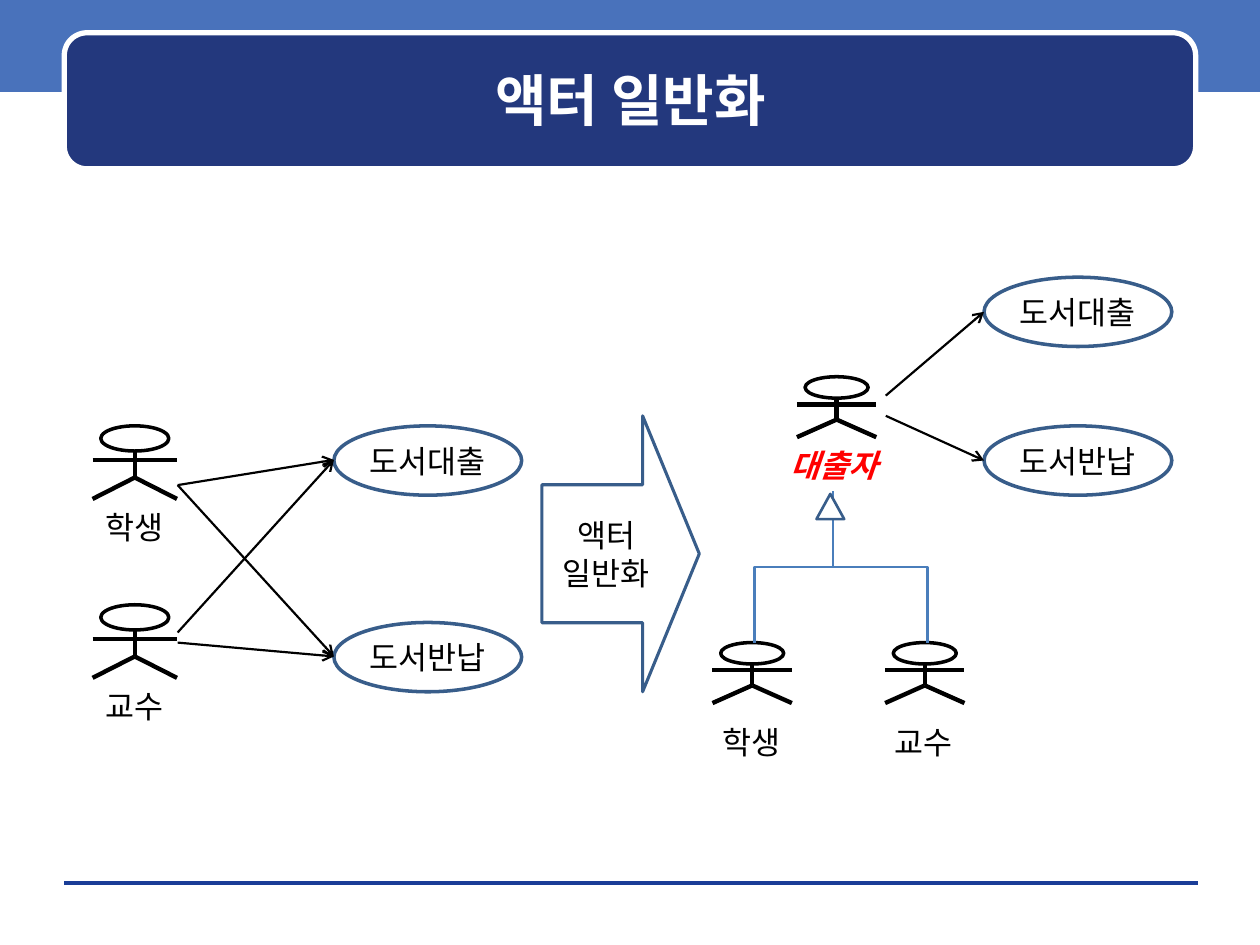
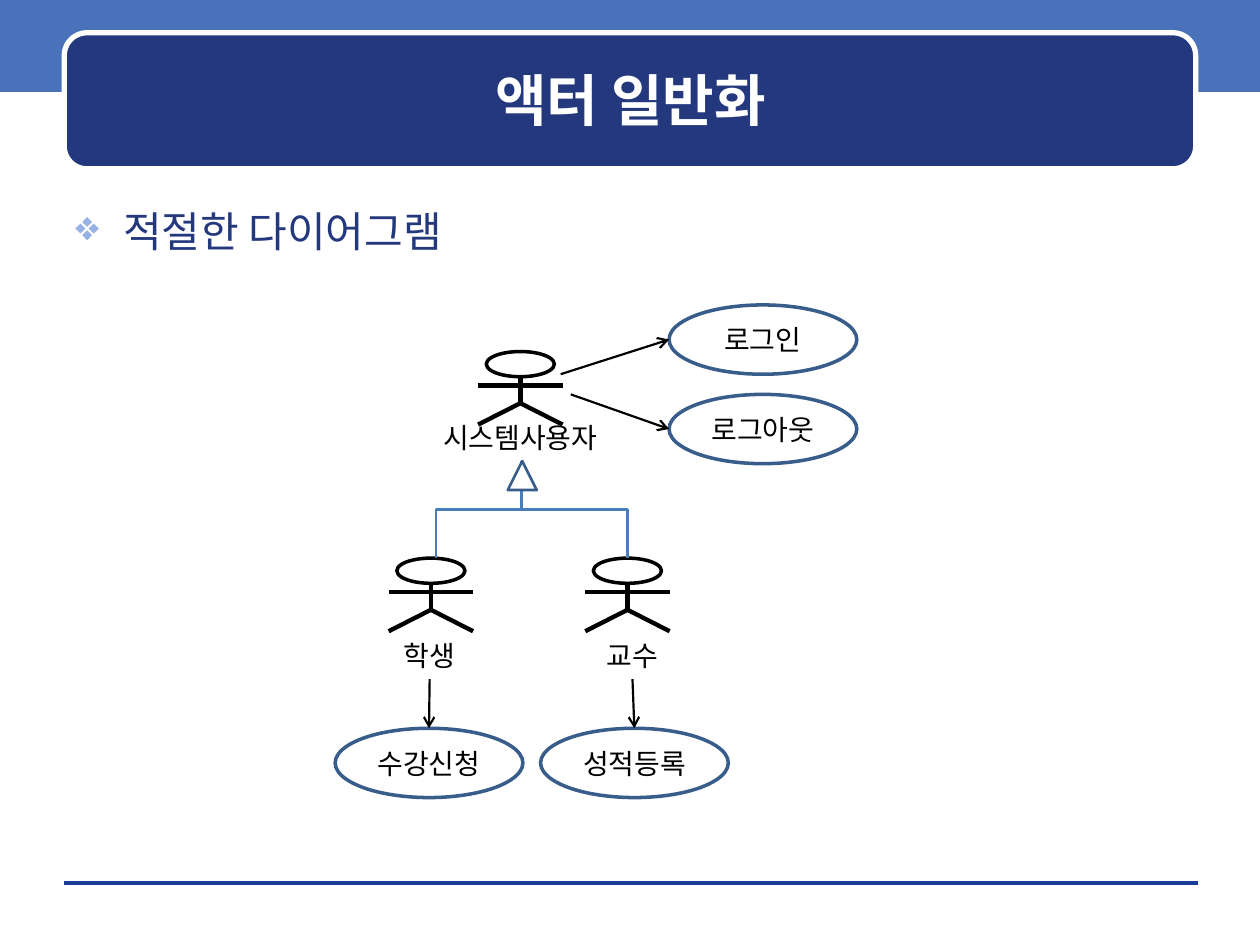
from dataclasses import dataclass

from lxml import etree
from pptx import Presentation
from pptx.dml.color import RGBColor
from pptx.enum.shapes import MSO_CONNECTOR, MSO_SHAPE
from pptx.enum.text import MSO_ANCHOR, PP_ALIGN
from pptx.oxml.ns import qn
from pptx.util import Inches, Pt

STRAIGHT, ELBOW = MSO_CONNECTOR.STRAIGHT, MSO_CONNECTOR.ELBOW
RECTANGLE, ROUNDED = MSO_SHAPE.RECTANGLE, MSO_SHAPE.ROUNDED_RECTANGLE
ELLIPSE, TRIANGLE = MSO_SHAPE.OVAL, MSO_SHAPE.ISOSCELES_TRIANGLE
RIGHT_ARROW = MSO_SHAPE.RIGHT_ARROW
MIDDLE, TOP = MSO_ANCHOR.MIDDLE, MSO_ANCHOR.TOP
CENTER, LEFT = PP_ALIGN.CENTER, PP_ALIGN.LEFT
TITLE_ONLY = 5


@dataclass(frozen=True)
class Theme:
    font: str = "Noto Sans CJK KR"
    band: str = "4972BB"
    navy: str = "23387D"
    rule: str = "1A3D97"
    outline: str = "385D8A"
    branch: str = "4A7EBB"
    bullet: str = "96B1E6"
    accent: str = "FF0000"
    black: str = "000000"
    white: str = "FFFFFF"
    title_size: int = 32
    body_size: int = 24
    large_label: int = 18
    small_label: int = 16


@dataclass(frozen=True)
class Figure:
    arm_span: float
    head_width: float
    head_height: float
    arms: float
    hips: float
    feet: float


LARGE_FIGURE = Figure(0.67, 0.54, 0.2, 0.27, 0.41, 0.58)
SMALL_FIGURE = Figure(0.63, 0.5, 0.17, 0.22, 0.34, 0.48)
CASE_WIDTH, CASE_HEIGHT = 1.49, 0.55


class DiagramDeck:
    def __init__(self, theme):
        self.theme = theme
        self.deck = Presentation()
        self.deck.slide_width = Inches(10)
        self.deck.slide_height = Inches(7.5)
        self.layout = self.deck.slide_layouts[TITLE_ONLY]
        self.page = None
        self.label_size = theme.large_label

    def new_page(self, title, label_size):
        self.page = self.deck.slides.add_slide(self.layout)
        self.label_size = label_size
        if len(self.deck.slides) == 1:
            self.furnish_layout()
        box = self.page.shapes.title
        box.left, box.top = Inches(0.6), Inches(0.35)
        box.width, box.height = Inches(8.81), Inches(0.88)
        self.set_text(box, [title], self.theme.title_size, self.theme.white,
                      bold=True, anchor=MIDDLE)

    def furnish_layout(self):
        theme = self.theme
        band = self.shape(RECTANGLE, 0, -0.03, 10, 0.76, fill=theme.band)
        rule = self.line((0.51, 7.01), (9.51, 7.01), theme.rule, 0)
        frame = self.shape(ROUNDED, 0.51, 0.26, 8.98, 1.08, fill=theme.navy,
                           outline=theme.white, weight=3)
        tree = self.layout.shapes.element
        for index, part in enumerate((band, rule, frame), start=2):
            tree.insert(index, part.element)

    def set_text(self, box, lines, size, color, bold=False, italic=False,
                 anchor=TOP, align=CENTER):
        frame = box.text_frame
        frame.word_wrap = True
        frame.vertical_anchor = anchor
        for index, text in enumerate(lines):
            para = frame.add_paragraph() if index else frame.paragraphs[0]
            para.alignment = align
            span = para.add_run()
            span.text = text
            font = span.font
            font.size, font.bold, font.italic = Pt(size), bold, italic
            font.color.rgb = RGBColor.from_string(color)
            font.name = self.theme.font
            east_asian = etree.SubElement(font._element, qn("a:ea"))
            east_asian.set("typeface", self.theme.font)

    def shape(self, kind, left, top, width, height, fill=None, outline=None,
              weight=2, parent=None):
        shapes = (parent or self.page).shapes
        box = shapes.add_shape(kind, Inches(left), Inches(top),
                               Inches(width), Inches(height))
        box.shadow.inherit = False
        if fill:
            box.fill.solid()
            box.fill.fore_color.rgb = RGBColor.from_string(fill)
        else:
            box.fill.background()
        if outline:
            box.line.color.rgb = RGBColor.from_string(outline)
            box.line.width = Pt(weight)
        else:
            box.line.fill.background()
        return box

    def line(self, start, end, color, weight, kind=STRAIGHT, parent=None):
        shapes = (parent or self.page).shapes
        connector = shapes.add_connector(
            kind, *(Inches(value) for value in (*start, *end)))
        connector.line.color.rgb = RGBColor.from_string(color)
        connector.line.width = Pt(weight)
        etree.SubElement(connector.element.spPr, qn("a:effectLst"))
        return connector

    def arrow(self, start, end):
        connector = self.line(start, end, self.theme.black, 1.25)
        outline = connector.element.spPr.find(qn("a:ln"))
        etree.SubElement(outline, qn("a:tailEnd")).set("type", "arrow")

    def branch(self, start, end):
        middle_x, middle_y = (start[0] + end[0]) / 2, (start[1] + end[1]) / 2
        half_drop = (end[1] - start[1]) / 2
        half_shift = abs(end[0] - start[0]) / 2
        goes_right = end[0] > start[0]
        reach = -half_drop if goes_right else half_drop
        connector = self.line((middle_x - reach, middle_y - half_shift),
                              (middle_x + reach, middle_y + half_shift),
                              self.theme.branch, 1.5, ELBOW)
        turn = 270 if goes_right else 90
        connector.element.spPr.find(qn("a:xfrm")).set("rot", str(turn * 60000))

    def generalization(self, parent, children, head):
        for child in children:
            self.branch(parent, child)
        self.shape(TRIANGLE, *head, fill=self.theme.white,
                   outline=self.theme.outline, weight=1.5)

    def actor(self, center, top, figure):
        group = self.page.shapes.add_group_shape()
        black = self.theme.black
        self.shape(ELLIPSE, center - figure.head_width / 2, top,
                   figure.head_width, figure.head_height,
                   outline=black, parent=group)
        left, right = center - figure.arm_span / 2, center + figure.arm_span / 2
        arms, hips, feet = (top + part for part in
                            (figure.arms, figure.hips, figure.feet))
        for start, end in (
            ((center, top + figure.head_height), (center, hips)),
            ((left, arms), (right, arms)),
            ((center, hips), (left, feet)),
            ((center, hips), (right, feet)),
        ):
            self.line(start, end, black, 2.5, parent=group)

    def label(self, text, center, top, width=1.05, color=None, strong=False):
        box = self.page.shapes.add_textbox(
            Inches(center - width / 2), Inches(top), Inches(width), Inches(0.4))
        self.set_text(box, [text], self.label_size, color or self.theme.black,
                      bold=strong, italic=strong)

    def caption(self, box, lines):
        frame = box.text_frame
        frame.margin_left = frame.margin_right = 0
        self.set_text(box, lines, self.label_size, self.theme.black,
                      anchor=MIDDLE)

    def use_case(self, text, left, top):
        box = self.shape(ELLIPSE, left, top, CASE_WIDTH, CASE_HEIGHT,
                         outline=self.theme.outline)
        self.caption(box, [text])

    def block_arrow(self, lines, left, top, width, height):
        box = self.shape(RIGHT_ARROW, left, top, width, height,
                         outline=self.theme.outline, weight=1.75)
        box.adjustments[0], box.adjustments[1] = 0.5, 0.36
        self.caption(box, lines)

    def bullet(self, text):
        box = self.page.shapes.add_textbox(
            Inches(0.5), Inches(1.58), Inches(9), Inches(5.33))
        properties = box.text_frame.paragraphs[0]._p.get_or_add_pPr()
        properties.set("marL", str(Inches(0.38)))
        properties.set("indent", str(-Inches(0.38)))
        color = etree.SubElement(properties, qn("a:buClr"))
        etree.SubElement(color, qn("a:srgbClr")).set("val", self.theme.bullet)
        etree.SubElement(properties, qn("a:buChar")).set("char", "❖")
        self.set_text(box, [text], self.theme.body_size, self.theme.navy,
                      align=LEFT)


def build_before_and_after(pages):
    pages.new_page("액터 일반화", pages.theme.large_label)
    for name, top in (("학생", 3.38), ("교수", 4.8)):
        pages.actor(1.07, top, LARGE_FIGURE)
        pages.label(name, 1.07, top + 0.6)
    for name, top in (("도서대출", 3.38), ("도서반납", 4.94)):
        pages.use_case(name, 2.65, top)
    for start, end in ((3.85, 3.65), (3.85, 5.21), (5.02, 3.65), (5.1, 5.21)):
        pages.arrow((1.41, start), (2.65, end))

    for name, center in (("학생", 5.97), ("교수", 7.34)):
        pages.actor(center, 5.1, SMALL_FIGURE)
        pages.label(name, center - 0.01, 5.69)
    pages.actor(6.64, 2.99, SMALL_FIGURE)
    pages.label("대출자", 6.62, 3.49, 1.77, pages.theme.accent, strong=True)
    pages.generalization((6.61, 3.9), ((5.99, 5.1), (7.36, 5.1)),
                         (6.48, 3.92, 0.22, 0.2))
    for name, top, start in (("도서대출", 2.2, 3.14), ("도서반납", 3.38, 3.3)):
        pages.use_case(name, 7.81, top)
        pages.arrow((7.03, start), (7.81, top + CASE_HEIGHT / 2))
    pages.block_arrow(["액터", "일반화"], 4.3, 3.3, 1.25, 2.19)


def build_proper_diagram(pages):
    pages.new_page("액터 일반화", pages.theme.small_label)
    pages.bullet("적절한 다이어그램")
    for name, center, label_center, case, case_left in (
        ("학생", 3.42, 3.41, "수강신청", 2.66),
        ("교수", 4.98, 5.02, "성적등록", 4.29),
    ):
        pages.actor(center, 4.43, LARGE_FIGURE)
        pages.label(name, label_center, 5.02)
        pages.use_case(case, case_left, 5.78)
        pages.arrow((label_center, 5.39), (case_left + CASE_WIDTH / 2, 5.78))
    pages.actor(4.13, 2.79, LARGE_FIGURE)
    pages.label("시스템사용자", 4.13, 3.29, 1.87)
    pages.generalization((4.14, 3.66), ((3.46, 4.43), (4.98, 4.43)),
                         (4.03, 3.66, 0.23, 0.23))
    for name, top, start in (("로그인", 2.42, (4.45, 2.97)),
                             ("로그아웃", 3.13, (4.53, 3.13))):
        pages.use_case(name, 5.31, top)
        pages.arrow(start, (5.31, top + CASE_HEIGHT / 2))


def main():
    pages = DiagramDeck(Theme())
    build_before_and_after(pages)
    build_proper_diagram(pages)
    pages.deck.save("out.pptx")


if __name__ == "__main__":
    main()
